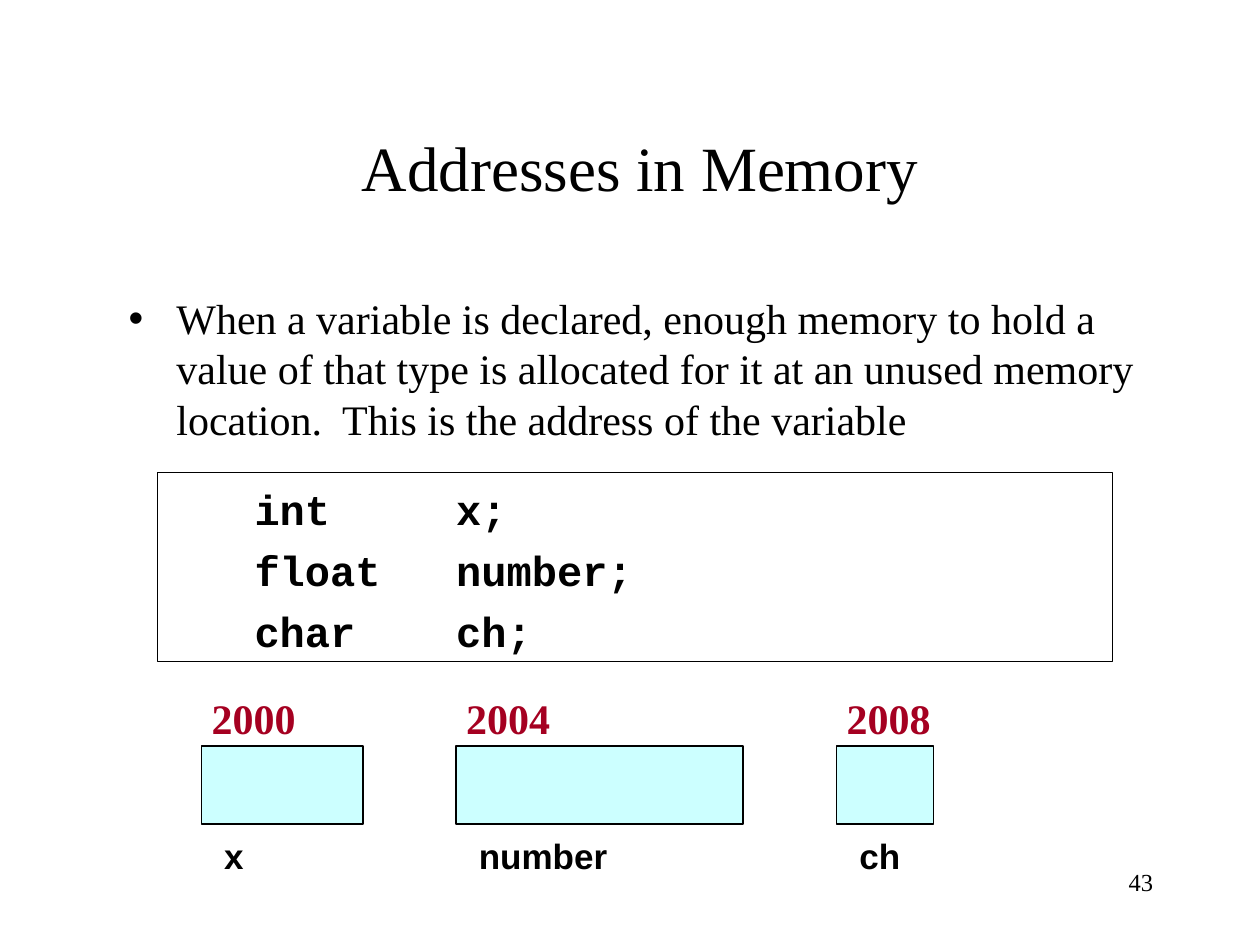
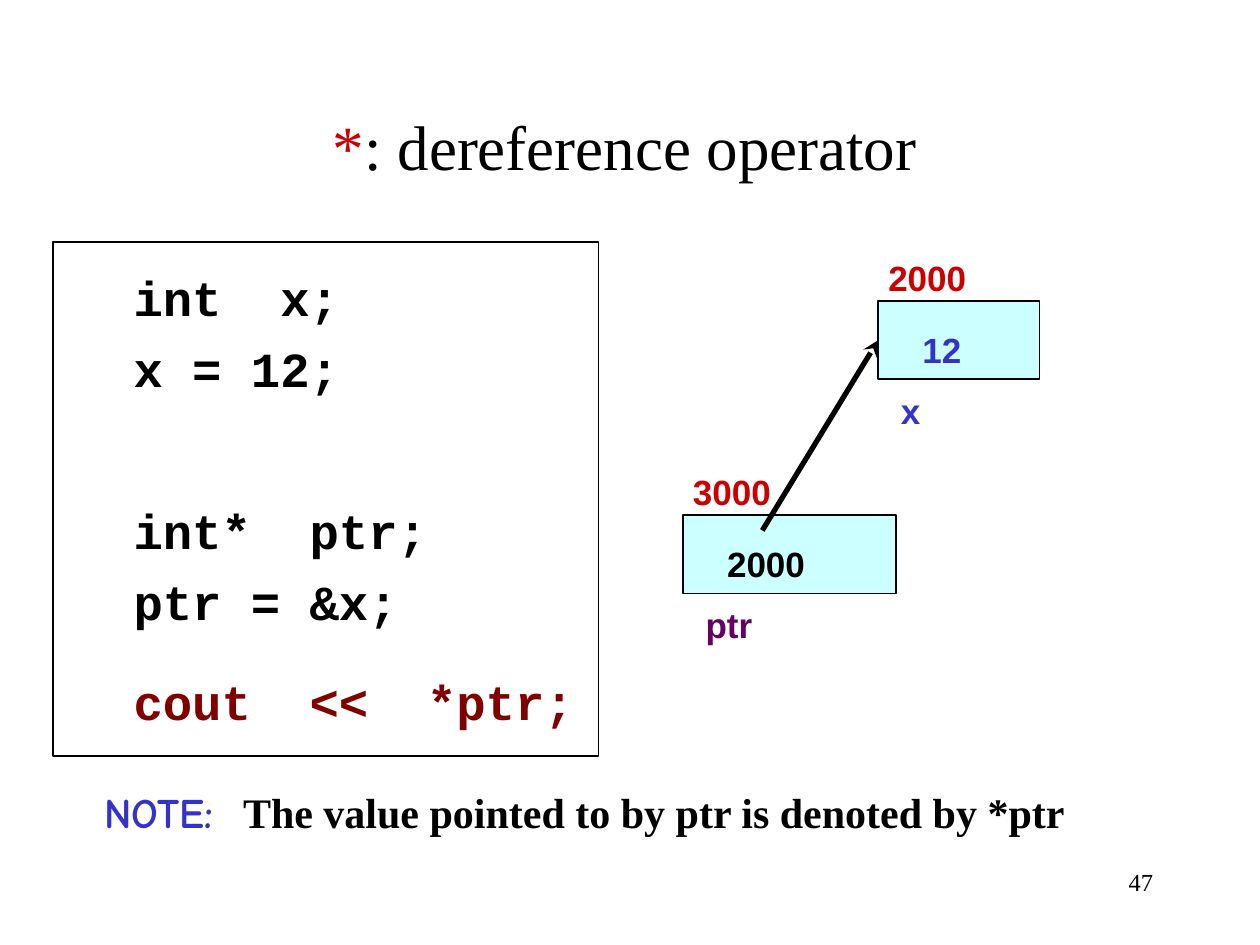
import lxml.etree
import pptx
import pptx.dml.color
import pptx.enum.shapes
import pptx.enum.text
import pptx.oxml.ns
import pptx.util

Inches = pptx.util.Inches
Pt = pptx.util.Pt
ALIGN = pptx.enum.text.PP_ALIGN
ANCHOR = pptx.enum.text.MSO_ANCHOR

SERIF, SANS, MONO, NOTE_FONT = "Times New Roman", "Arial", "Courier New", "Comic Neue"
BLACK, WHITE, CELL_FILL = "000000", "FFFFFF", "CCFFFF"
CRIMSON, RED, MAROON = "A50021", "CC0000", "800000"
BLUE, PURPLE = "3333CC", "660066"
LINE_HEIGHT = 1.2
CELL_HEIGHT = 0.62


def rgb(code):
    return pptx.dml.color.RGBColor.from_string(code)


def add_child(parent, tag, **attributes):
    return lxml.etree.SubElement(parent, pptx.oxml.ns.qn(tag), **attributes)


class Deck:
    """Holds the shared style and the slide being built."""

    def __init__(self):
        self.presentation = pptx.Presentation()
        self.presentation.slide_width = Inches(10)
        self.presentation.slide_height = Inches(7.5)
        self.slide = None

    def new_slide(self, number):
        layout = self.presentation.slide_layouts[1]
        self.slide = self.presentation.slides.add_slide(layout)
        frame = self.text_box(7.17, 6.83, 2.08, 0.5, inset=0.1)
        self.paragraph(frame, str(number), 14, align=ALIGN.RIGHT)

    def paragraph(self, frame, content, size, font=SERIF, color=BLACK, bold=False,
                  before=0, indent=0, hanging=0, bullet=None, align=ALIGN.LEFT):
        """Add a paragraph; content is a string or a list of (text, font, colour)."""
        first = not frame.paragraphs[0].runs
        paragraph = frame.paragraphs[0] if first else frame.add_paragraph()
        paragraph.alignment = align
        paragraph.line_spacing = Pt(size * LINE_HEIGHT)
        paragraph.space_before = Pt(0 if first else before)
        properties = paragraph._p.get_or_add_pPr()
        properties.set("marL", str(Inches(indent)))
        properties.set("indent", str(Inches(-hanging)))
        if bullet:
            add_child(properties, "a:buChar", char=bullet)
        else:
            add_child(properties, "a:buNone")
        paragraph.font.size = Pt(size)
        paragraph.font.bold = bold
        if isinstance(content, str):
            paragraph.add_run().text = content
            paragraph.font.name = font
            paragraph.font.color.rgb = rgb(color)
            return
        for text, run_font, run_color in content:
            run = paragraph.add_run()
            run.text = text
            run.font.name = run_font
            run.font.color.rgb = rgb(run_color)

    def placeholder(self, index, left, top, width, height, anchor):
        shape = self.slide.placeholders[index]
        shape.left, shape.top = Inches(left), Inches(top)
        shape.width, shape.height = Inches(width), Inches(height)
        frame = shape.text_frame
        frame.auto_size = pptx.enum.text.MSO_AUTO_SIZE.NONE
        frame.vertical_anchor = anchor
        return frame

    def title(self, content, left, top, width):
        frame = self.placeholder(0, left, top, width, 1.25, ANCHOR.BOTTOM)
        self.paragraph(frame, content, 36, align=ALIGN.CENTER)

    def body(self, left, top, width, height):
        return self.placeholder(1, left, top, width, height, ANCHOR.TOP)

    def text_box(self, left, top, width, height, inset=0, anchor=ANCHOR.TOP):
        box = self.slide.shapes.add_textbox(
            Inches(left), Inches(top), Inches(width), Inches(height))
        frame = box.text_frame
        frame.word_wrap = True
        frame.vertical_anchor = anchor
        frame.margin_left = frame.margin_right = Inches(inset)
        frame.margin_top = frame.margin_bottom = Inches(inset / 2)
        return frame

    def rectangle(self, left, top, width, height, fill):
        shape = self.slide.shapes.add_shape(
            pptx.enum.shapes.MSO_SHAPE.RECTANGLE,
            Inches(left), Inches(top), Inches(width), Inches(height))
        shape.shadow.inherit = False
        shape.fill.solid()
        shape.fill.fore_color.rgb = rgb(fill)
        shape.line.color.rgb = rgb(BLACK)
        shape.line.width = Pt(1)
        return shape

    def code_frame(self, left, top, width, height):
        """Draw the outline behind the code in the body placeholder."""
        outline = self.rectangle(left, top, width, height, WHITE)
        self.slide.shapes._spTree.insert(2, outline._element)

    def memory_cell(self, left, top, width, address, name, address_style,
                    name_color=BLACK, value=None, value_color=BLACK):
        """Draw a variable's storage, its address above and its name below."""
        cell = self.rectangle(left, top, width, CELL_HEIGHT, CELL_FILL)
        if value:
            frame = cell.text_frame
            frame.vertical_anchor = ANCHOR.MIDDLE
            frame.margin_left = Inches(0.35)
            frame.margin_top, frame.margin_bottom = Inches(0.14), 0
            self.paragraph(frame, value, 20, SANS, value_color, bold=True)
        above = self.text_box(left + 0.08, top - 0.42, 1, 0.4, anchor=ANCHOR.BOTTOM)
        self.paragraph(above, address, bold=True, **address_style)
        below = self.text_box(left + 0.18, top + CELL_HEIGHT + 0.08, 1.4, 0.35)
        self.paragraph(below, name, 20, SANS, name_color, bold=True)
        return cell

    def pointer_arrow(self, start_x, start_y, target):
        """Draw an arrow to the middle of the target's left side."""
        arrow = self.slide.shapes.add_connector(
            pptx.enum.shapes.MSO_CONNECTOR.STRAIGHT,
            Inches(start_x), Inches(start_y), target.left, target.top)
        arrow.end_connect(target, 1)
        arrow.line.color.rgb = rgb(BLACK)
        arrow.line.width = Pt(3)
        add_child(arrow.line._get_or_add_ln(), "a:tailEnd", type="stealth")
        add_child(arrow._element.spPr, "a:effectLst")


def addresses_slide(deck):
    deck.new_slide(43)
    deck.title("Addresses in Memory", 0.83, 0.42, 8.5)
    deck.code_frame(1.25, 3.75, 7.58, 1.5)
    body = deck.body(0.92, 2.27, 8.67, 3.2)
    deck.paragraph(
        body,
        "When a variable is declared, enough memory to hold a value of that type "
        "is allocated for it at an unused memory location.  "
        "This is the address of the variable",
        24, indent=0.38, hanging=0.38, bullet="•")
    declarations = [("int     x;", 23), ("float   number;", 6), ("char    ch;", 6)]
    for declaration, before in declarations:
        deck.paragraph(body, declaration, 24, MONO, bold=True,
                       before=before, indent=1)

    address_style = {"size": 24, "font": SERIF, "color": CRIMSON}
    variables = [(1.6, 1.28, "2000", "x"),
                 (3.62, 2.28, "2004", "number"),
                 (6.64, 0.77, "2008", "ch")]
    for left, width, address, name in variables:
        deck.memory_cell(left, 5.92, width, address, name, address_style)


def dereference_slide(deck):
    deck.new_slide(47)
    deck.title([("*", SERIF, RED), (": dereference operator", SERIF, BLACK)],
               0.67, 0.25, 8.58)
    deck.code_frame(0.42, 1.92, 4.33, 4.08)
    body = deck.body(0.73, 2.07, 8.6, 4.65)
    statements = [("int  x;", 0, BLACK), ("x = 12;", 7, BLACK),
                  ("int*  ptr;", 59, BLACK), ("ptr = &x;", 7, BLACK),
                  ("cout  <<  *ptr;", 24, MAROON)]
    for statement, before, color in statements:
        deck.paragraph(body, statement, 28, MONO, color, bold=True,
                       before=before, indent=0.23)
    deck.paragraph(
        body,
        [("NOTE:  ", NOTE_FONT, BLUE),
         ("The value pointed to by ptr is denoted by *ptr", SERIF, BLACK)],
        24, bold=True, before=32)

    address_style = {"size": 20, "font": SANS, "color": RED}
    x_cell = deck.memory_cell(6.97, 2.39, 1.28, "2000", "x", address_style,
                              BLUE, "12", BLUE)
    deck.memory_cell(5.42, 4.09, 1.69, "3000", "ptr", address_style,
                     PURPLE, "2000")
    deck.pointer_arrow(6.05, 4.21, x_cell)


def main():
    deck = Deck()
    addresses_slide(deck)
    dereference_slide(deck)
    deck.presentation.save("out.pptx")


if __name__ == "__main__":
    main()
